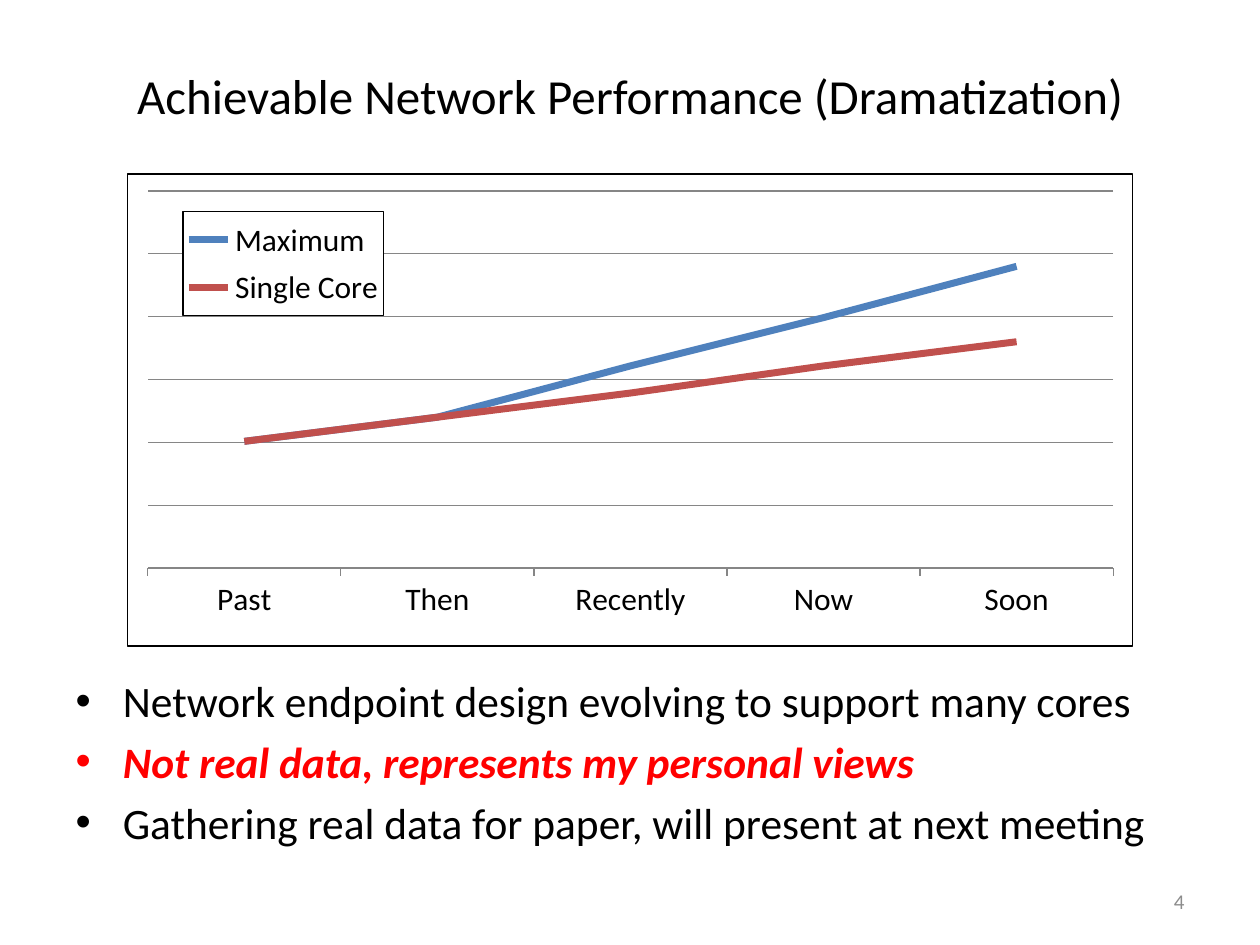
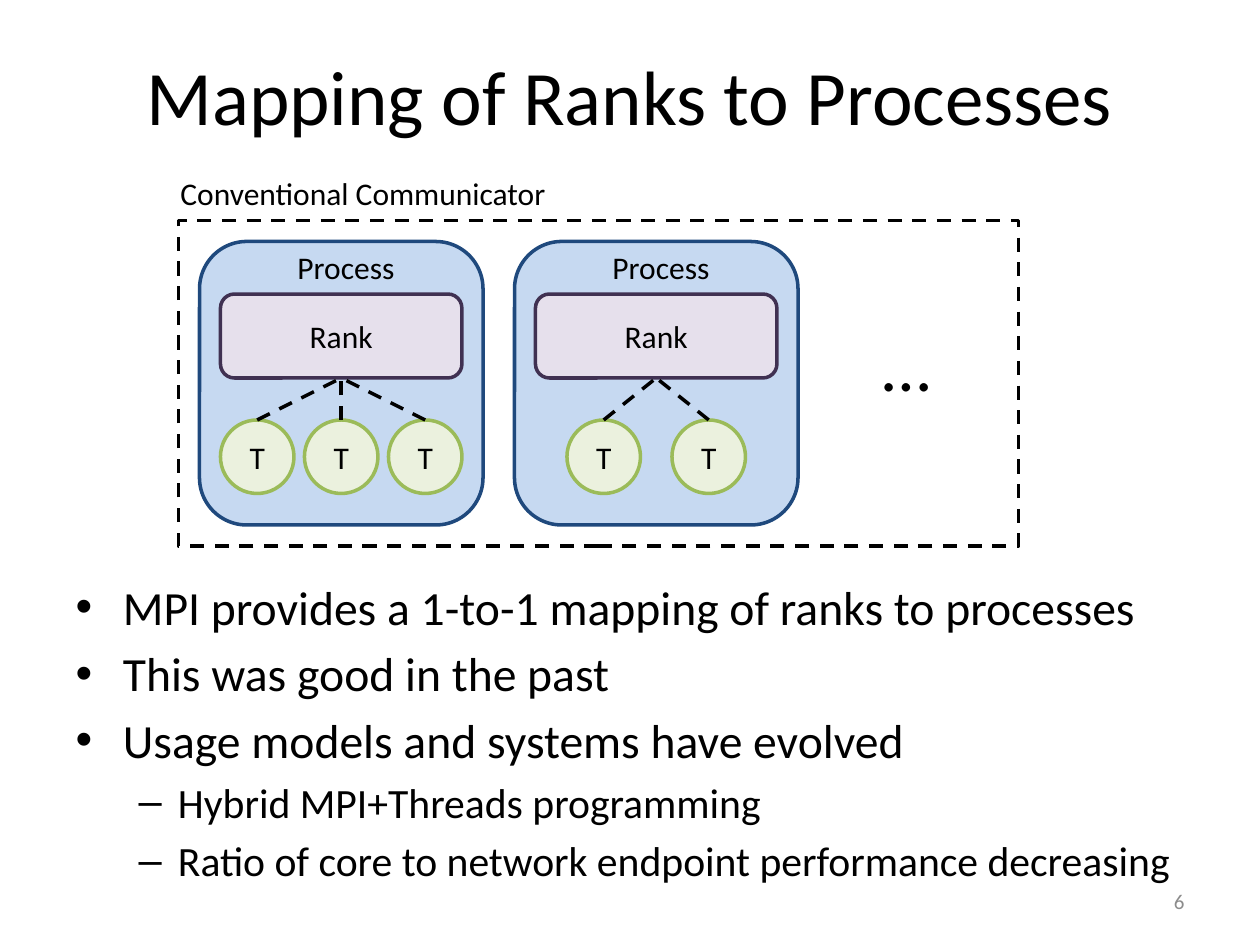
from lxml import etree
from pptx import Presentation
from pptx.chart.data import CategoryChartData
from pptx.dml.color import RGBColor
from pptx.enum.chart import (XL_CHART_TYPE as ChartType, XL_LEGEND_POSITION as LegendPos,
                             XL_TICK_MARK as Tick, XL_TICK_LABEL_POSITION as TickLabel)
from pptx.enum.dml import MSO_LINE as Dash
from pptx.enum.shapes import MSO_CONNECTOR as Connector, MSO_SHAPE as Shape
from pptx.enum.text import MSO_ANCHOR as Anchor, MSO_AUTO_SIZE as AutoSize, PP_ALIGN as Align
from pptx.oxml import parse_xml
from pptx.oxml.ns import nsdecls, qn
from pptx.util import Inches, Pt

FONT = "Calibri"
COLORS = {
    "text": "000000", "warning": "FF0000", "number": "8C8C8C", "grid": "868686",
    "maximum": "4F81BD", "single": "C0504D", "paper": "FFFFFF",
    "process": "C6D9F1", "process_edge": "1F497D",
    "rank": "E6E0EC", "rank_edge": "403152",
    "thread": "EBF1DE", "thread_edge": "9BBB59",
}

# Grid: 12 cells to the inch, 120 columns by 90 rows
COLUMNS, ROWS = 120, 90
TITLE_AREA = (6, 3.6, 108, 10.9)
NUMBER_AREA = (86, 83.4, 28, 4.8)
LABEL_HEIGHT = 4.8


def cells(*counts):
    return [Inches(count / 12) for count in counts]


def rgb(name):
    return RGBColor.from_string(COLORS[name])


# Shared formatting
def set_font(font, size, color="text", **extras):
    for attribute, value in {"name": FONT, "size": Pt(size), **extras}.items():
        setattr(font, attribute, value)
    font.color.rgb = rgb(color)


def set_line(line, color, width, dash=None):
    line.color.rgb = rgb(color)
    line.width = Pt(width)
    if dash:
        line.dash_style = dash


def place(shape, area):
    for attribute, value in zip(("left", "top", "width", "height"), cells(*area)):
        setattr(shape, attribute, value)


def write(shape, text, size, color="text", align=Align.CENTER, anchor=Anchor.MIDDLE, wrap=True):
    frame = shape.text_frame
    frame.text = text
    for attribute, value in {"vertical_anchor": anchor, "word_wrap": wrap,
                             "auto_size": AutoSize.NONE}.items():
        setattr(frame, attribute, value)
    frame.paragraphs[0].alignment = align
    set_font(frame.paragraphs[0].font, size, color)


# Slide parts
def add_slide(deck, title, title_size, number):
    slide = deck.slides.add_slide(deck.slide_layouts[1])
    place(slide.shapes.title, TITLE_AREA)
    write(slide.shapes.title, title, title_size)
    add_label(slide, number, NUMBER_AREA, 12, color="number", align=Align.RIGHT,
              anchor=Anchor.MIDDLE, wrap=True)
    return slide


def add_list(slide, area, items, sizes):
    """Fill the body placeholder with (text, level, extra font values)."""
    body = slide.placeholders[1]
    place(body, area)
    frame = body.text_frame
    frame.auto_size = AutoSize.NONE
    for index, (text, level, extras) in enumerate(items):
        paragraph = frame.paragraphs[0] if index == 0 else frame.add_paragraph()
        paragraph.text = text
        paragraph.level = level
        if index == 0:
            paragraph.space_before = Pt(0)
        set_font(paragraph.runs[0].font, sizes[level], **extras)


def add_label(slide, text, area, size=18, align=Align.LEFT, anchor=Anchor.TOP, wrap=False,
              color="text"):
    label = slide.shapes.add_textbox(*cells(*area))
    write(label, text, size, color, align, anchor, wrap)


def add_block(slide, kind, area, style=None, text=None):
    """Draw a block in a named style; without a style it is a dashed outline."""
    block = slide.shapes.add_shape(kind, *cells(*area))
    block.shadow.inherit = False
    if style:
        block.fill.solid()
        block.fill.fore_color.rgb = rgb(style)
        set_line(block.line, style + "_edge", 2)
    else:
        block.fill.background()
        set_line(block.line, "text", 2, Dash.DASH)
    if text:
        write(block, text, 18)


def add_link(slide, start, end):
    link = slide.shapes.add_connector(Connector.STRAIGHT, *cells(*start, *end))
    set_line(link.line, "text", 2, Dash.DASH)
    etree.SubElement(link._element.spPr, qn("a:effectLst"))


def add_process(slide, left, thread_count, thread_step):
    """A process with one rank, linked to threads spread about its centre."""
    top, side, rank_bottom, thread_top, thread = 23, 27, 36, 40, 7
    center = left + side / 2
    add_block(slide, Shape.ROUNDED_RECTANGLE, (left, top, side, side), "process")
    add_block(slide, Shape.ROUNDED_RECTANGLE, (left + 2, rank_bottom - 8, side - 4, 8),
              "rank", "Rank")
    add_label(slide, "Process", (center - 5.5, top, 11.9, LABEL_HEIGHT), align=Align.CENTER)
    for index in range(thread_count):
        middle = center + (index - (thread_count - 1) / 2) * thread_step
        add_block(slide, Shape.OVAL, (middle - thread / 2, thread_top, thread, thread),
                  "thread", "T")
        add_link(slide, (middle, thread_top), (center, rank_bottom))


# Chart
def manual_layout(x, y, w, h, inner=False):
    target = '<c:layoutTarget val="inner"/>' if inner else ""
    modes = "".join(f'<c:{axis}Mode val="edge"/>' for axis in "xy")
    sizes = "".join(f'<c:{key} val="{value}"/>' for key, value in zip("xywh", (x, y, w, h)))
    return parse_xml(f'<c:layout {nsdecls("c")}><c:manualLayout>{target}{modes}{sizes}'
                     '</c:manualLayout></c:layout>')


def set_layout(parent, layout, position):
    for old in parent.findall(qn("c:layout")):
        parent.remove(old)
    parent.insert(position, layout)


def chart_box():
    return parse_xml(
        f'<c:spPr {nsdecls("c", "a")}><a:solidFill><a:srgbClr val="{COLORS["paper"]}"/>'
        f'</a:solidFill><a:ln w="{Pt(0.75)}"><a:solidFill><a:srgbClr val="{COLORS["text"]}"/>'
        '</a:solidFill></a:ln></c:spPr>')


def add_performance_chart(slide, area):
    data = CategoryChartData()
    data.categories = ["Past", "Then", "Recently", "Now", "Soon"]
    data.add_series("Maximum", [42, 50, 67, 83, 100])
    data.add_series("Single Core", [42, 50, 58, 67, 75])
    chart = slide.shapes.add_chart(ChartType.LINE, *cells(*area), data).chart
    set_font(chart.font, 18)
    chart.has_title = False

    for series, color in zip(chart.plots[0].series, ("maximum", "single")):
        series.smooth = False
        set_line(series.format.line, color, 4)
    chart.plots[0].vary_by_categories = False

    # Axes: hidden scale with six grid steps
    scale, periods = chart.value_axis, chart.category_axis
    for attribute, value in {"minimum_scale": 0, "maximum_scale": 125,
                             "major_unit": 125 / 6, "has_major_gridlines": True,
                             "visible": False}.items():
        setattr(scale, attribute, value)
    periods.major_tick_mark = Tick.OUTSIDE
    periods.tick_label_position = TickLabel.LOW
    for line in (scale.major_gridlines.format.line, periods.format.line):
        set_line(line, "grid", 0.75)

    # Legend over the plot, and both boxes
    chart.has_legend = True
    legend = chart.legend
    legend.position = LegendPos.RIGHT
    legend.include_in_layout = False
    set_font(legend.font, 18)
    legend_xml, space = legend._element, chart._chartSpace
    set_layout(legend_xml, manual_layout(0.055, 0.08, 0.2, 0.22), 1)
    legend_xml.find(qn("c:overlay")).addnext(chart_box())
    set_layout(space.chart.plotArea, manual_layout(0.02, 0.036, 0.961, 0.799, True), 0)
    space.chart.addnext(chart_box())


# Slides
def build_performance(deck):
    slide = add_slide(deck, "Achievable Network Performance (Dramatization)", 28, "4")
    add_performance_chart(slide, (12.1, 16.5, 95.8, 45.1))
    add_list(slide, (6, 63.6, 108, 17.3), [
        ("Network endpoint design evolving to support many cores", 0, {}),
        ("Not real data, represents my personal views", 0,
         {"color": "warning", "bold": True, "italic": True}),
        ("Gathering real data for paper, will present at next meeting", 0, {}),
    ], sizes=[24.8])


def build_mapping(deck):
    slide = add_slide(deck, "Mapping of Ranks to Processes", 44, "6")
    add_list(slide, (6, 54.4, 108, 29), [
        ("MPI provides a 1-to-1 mapping of ranks to processes", 0, {}),
        ("This was good in the past", 0, {}),
        ("Usage models and systems have evolved", 0, {}),
        ("Hybrid MPI+Threads programming", 1, {}),
        ("Ratio of core to network endpoint performance decreasing", 1, {}),
    ], sizes=[27.2, 23.8])
    add_block(slide, Shape.RECTANGLE, (17, 21, 80, 31))
    add_label(slide, "Conventional Communicator", (16, 16, 37.8, LABEL_HEIGHT))
    add_process(slide, left=19, thread_count=3, thread_step=8)
    add_process(slide, left=49, thread_count=2, thread_step=10)
    add_label(slide, "…", (82.9, 30, 7.1, 9.2), size=40)


def main():
    deck = Presentation()
    deck.slide_width, deck.slide_height = cells(COLUMNS, ROWS)
    build_performance(deck)
    build_mapping(deck)
    deck.save("out.pptx")


if __name__ == "__main__":
    main()
